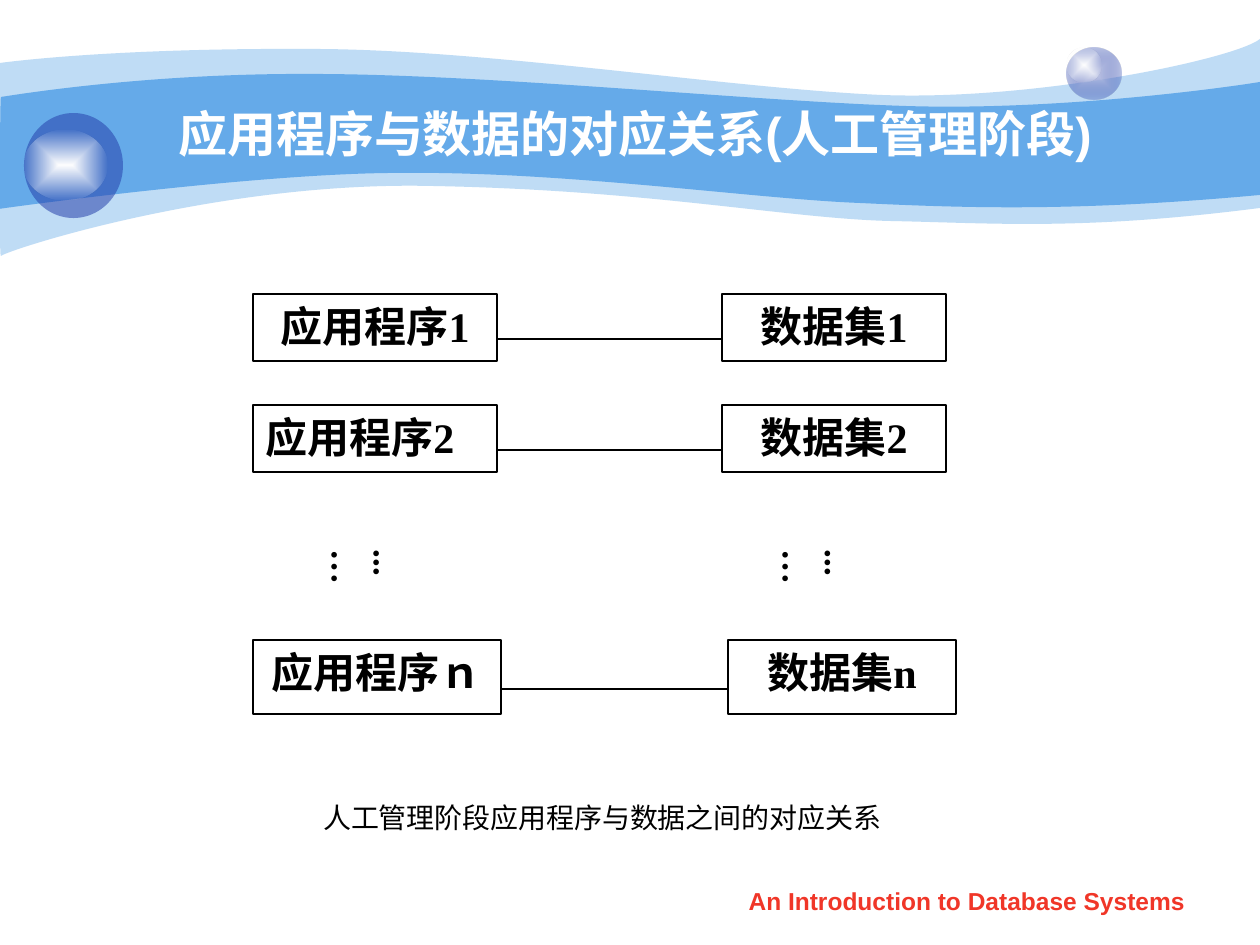
"""Build a slide mapping application programs to data sets in the manual management stage."""
from lxml import etree
from pptx import Presentation
from pptx.dml.color import RGBColor
from pptx.enum.shapes import MSO_CONNECTOR, MSO_SHAPE
from pptx.enum.text import MSO_ANCHOR, MSO_AUTO_SIZE, PP_ALIGN
from pptx.oxml.ns import qn
from pptx.util import Pt

PX = 914400 / 126
RECT, OVAL = MSO_SHAPE.RECTANGLE, MSO_SHAPE.OVAL
STRAIGHT = MSO_CONNECTOR.STRAIGHT
LEFT, CENTER, JUSTIFY = PP_ALIGN.LEFT, PP_ALIGN.CENTER, PP_ALIGN.JUSTIFY
TOP, MIDDLE = MSO_ANCHOR.TOP, MSO_ANCHOR.MIDDLE
GROW = MSO_AUTO_SIZE.SHAPE_TO_FIT_TEXT

WHITE = RGBColor(0xFF, 0xFF, 0xFF)
NEAR_WHITE = RGBColor(0xFE, 0xFE, 0xFE)
BLACK = RGBColor(0x00, 0x00, 0x00)
SKY = RGBColor(0x65, 0xAA, 0xE9)
NAVY = RGBColor(0x23, 0x3D, 0xA9)
LILAC = RGBColor(0xC6, 0xCC, 0xE8)
RED = RGBColor(0xF0, 0x36, 0x28)

SANS, SERIF = "Arial", "Times New Roman"

OUTER_WAVE = [
    (0, 63), (30, 59, 135, 48, 311, 49), (486, 49, 725, 88, 881, 95),
    (1036, 101, 1235, 59, 1260, 39), (1260, 208),
    (1081, 231, 992, 223, 888, 221), (784, 218, 649, 190, 432, 186),
    (217, 181, 5, 251, 1, 256), (-1, 262, 0, 95, 0, 63),
]
INNER_WAVE = [
    (1, 97), (3, 97, 139, 73, 312, 74), (486, 74, 750, 101, 905, 106),
    (1060, 111, 1230, 87, 1260, 82), (1260, 195),
    (1075, 212, 964, 208, 859, 203), (755, 199, 563, 171, 399, 173),
    (256, 173, -3, 209, -1, 209), (0, 209, 0, 97, 1, 97),
]
ROWS = [
    (294, 67, 244, 722, 224, 339, "应用程序1", "数据集1", CENTER),
    (405, 67, 244, 722, 224, 450, "应用程序2", "数据集2", JUSTIFY),
    (640, 74, 248, 728, 228, 689, "应用程序ｎ", "数据集n", CENTER),
]
PROGRAM_X = 253


def emu(*lengths):
    """Turn px lengths into EMU."""
    return [round(n * PX) for n in lengths]


def add_color(parent, color, opacity):
    """Append a colour with an opacity in percent."""
    clr = etree.SubElement(parent, qn("a:srgbClr"), val=str(color))
    if opacity < 100:
        etree.SubElement(clr, qn("a:alpha"), val=str(opacity * 1000))


def write(shape, text, size=24, font=SERIF, color=BLACK, bold=True, align=CENTER,
          anchor=TOP, wrap=True, grow=False, vertical=False, before=0, hanging=0):
    """Put one formatted paragraph into a shape."""
    tf = shape.text_frame
    tf.word_wrap = wrap
    tf.vertical_anchor = anchor
    if grow:
        tf.auto_size = GROW
    if vertical:
        tf.margin_left, tf.margin_right, tf.margin_top, tf.margin_bottom = emu(6, 6, 25, 1)
        tf._txBody.bodyPr.set("vert", "eaVert")
    p = tf.paragraphs[0]
    p.alignment = align
    if before:
        p.space_before = Pt(before)
    if hanging:
        indent, = emu(hanging)
        pPr = p._p.get_or_add_pPr()
        pPr.set("marL", str(indent))
        pPr.set("indent", str(-indent))
    r = p.add_run()
    r.text = text
    r.font.name, r.font.size, r.font.bold = font, Pt(size), bold
    r.font.color.rgb = color


class SlideBuilder:
    """Hold the current slide and the line style."""

    def __init__(self, slide, line_color=BLACK, line_width=0.75):
        """Keep the slide and the style."""
        self.shapes = slide.shapes
        self.line_color, self.line_width = line_color, Pt(line_width)

    def paint(self, s, color, opacity=100):
        """Give a shape a plain fill without line or shadow."""
        s.shadow.inherit = False
        s.line.fill.background()
        s.fill.solid()
        s.fill.fore_color.rgb = color
        if opacity < 100:
            fill = s._element.spPr.find(qn("a:solidFill"))
            fill.clear()
            add_color(fill, color, opacity)

    def wave(self, outline, color, opacity=100):
        """Draw a filled band whose six-number parts are cubic curves."""
        points = [pair for part in outline for pair in zip(part[::2], part[1::2])]
        builder = self.shapes.build_freeform(*points[0], scale=PX)
        builder.add_line_segments(points[1:], close=True)
        s = builder.convert_to_shape()
        segments = iter(list(s._element.iter(qn("a:lnTo"))))
        for part in outline[1:]:
            first = next(segments)
            if len(part) == 6:
                first.tag = qn("a:cubicBezTo")
                for extra in (next(segments), next(segments)):
                    first.append(extra[0])
                    extra.getparent().remove(extra)
        self.paint(s, color, opacity)

    def ball(self, box, color, opacity):
        """Draw a plain ellipse."""
        s = self.shapes.add_shape(OVAL, *emu(*box))
        self.paint(s, color, opacity)
        return s

    def glow(self, box, inner, outer, opacity):
        """Draw an ellipse that fades from its centre."""
        spPr = self.ball(box, inner, 100)._element.spPr
        solid = spPr.find(qn("a:solidFill"))
        grad = etree.Element(qn("a:gradFill"), rotWithShape="1")
        stops = etree.SubElement(grad, qn("a:gsLst"))
        for pos, color, alpha in ((0, inner, 100), (100, outer, opacity)):
            add_color(etree.SubElement(stops, qn("a:gs"), pos=str(pos * 1000)), color, alpha)
        route = etree.SubElement(grad, qn("a:path"), {"path": "rect"})
        etree.SubElement(route, qn("a:fillToRect"), l="50000", t="50000", r="50000", b="50000")
        spPr.replace(solid, grad)

    def box(self, bounds, text, **fmt):
        """Draw a white outlined box with text."""
        s = self.shapes.add_shape(RECT, *emu(*bounds))
        self.paint(s, WHITE)
        s.line.color.rgb, s.line.width = self.line_color, self.line_width
        write(s, text, **fmt)

    def link(self, x1, x2, y):
        """Draw a horizontal line."""
        c = self.shapes.add_connector(STRAIGHT, *emu(x1, y, x2, y))
        c.line.color.rgb, c.line.width = self.line_color, self.line_width
        etree.SubElement(c._element.spPr, qn("a:effectLst"))

    def label(self, bounds, text, **fmt):
        """Add a text box."""
        write(self.shapes.add_textbox(*emu(*bounds)), text, **fmt)


def main():
    """Build and save the slide."""
    prs = Presentation()
    prs.slide_width, prs.slide_height = emu(1260, 945)
    b = SlideBuilder(prs.slides.add_slide(prs.slide_layouts[6]))

    b.wave(OUTER_WAVE, SKY, 41)
    b.wave(INNER_WAVE, SKY)
    b.glow((1067, 48, 54, 51), LILAC, NAVY, 31)
    b.glow((1067, 48, 35, 34), WHITE, NEAR_WHITE, 0)
    b.ball((24, 113, 99, 105), NAVY, 53)
    b.glow((24, 130, 83, 70), WHITE, NEAR_WHITE, 0)
    b.label((126, 94, 1018, 78), "应用程序与数据的对应关系(人工管理阶段)",
            size=28, font=SANS, color=WHITE, anchor=MIDDLE)

    for y, height, program_w, data_x, data_w, link_y, program, data, align in ROWS:
        b.box((PROGRAM_X, y, program_w, height), program, align=align)
        b.box((data_x, y, data_w, height), data)
        b.link(PROGRAM_X + program_w, data_x, link_y)

    for x in (348, 799):
        b.label((x, 525, 67, 84), "...…", size=20, align=LEFT,
                grow=True, vertical=True, before=12.5)

    b.label((259, 794, 687, 50), "人工管理阶段应用程序与数据之间的对应关系",
            size=16, bold=False, wrap=False, grow=True, hanging=48)
    b.label((719, 880, 496, 44), "An Introduction to Database Systems",
            size=14, font=SANS, color=RED)
    prs.save("out.pptx")


if __name__ == "__main__":
    main()
